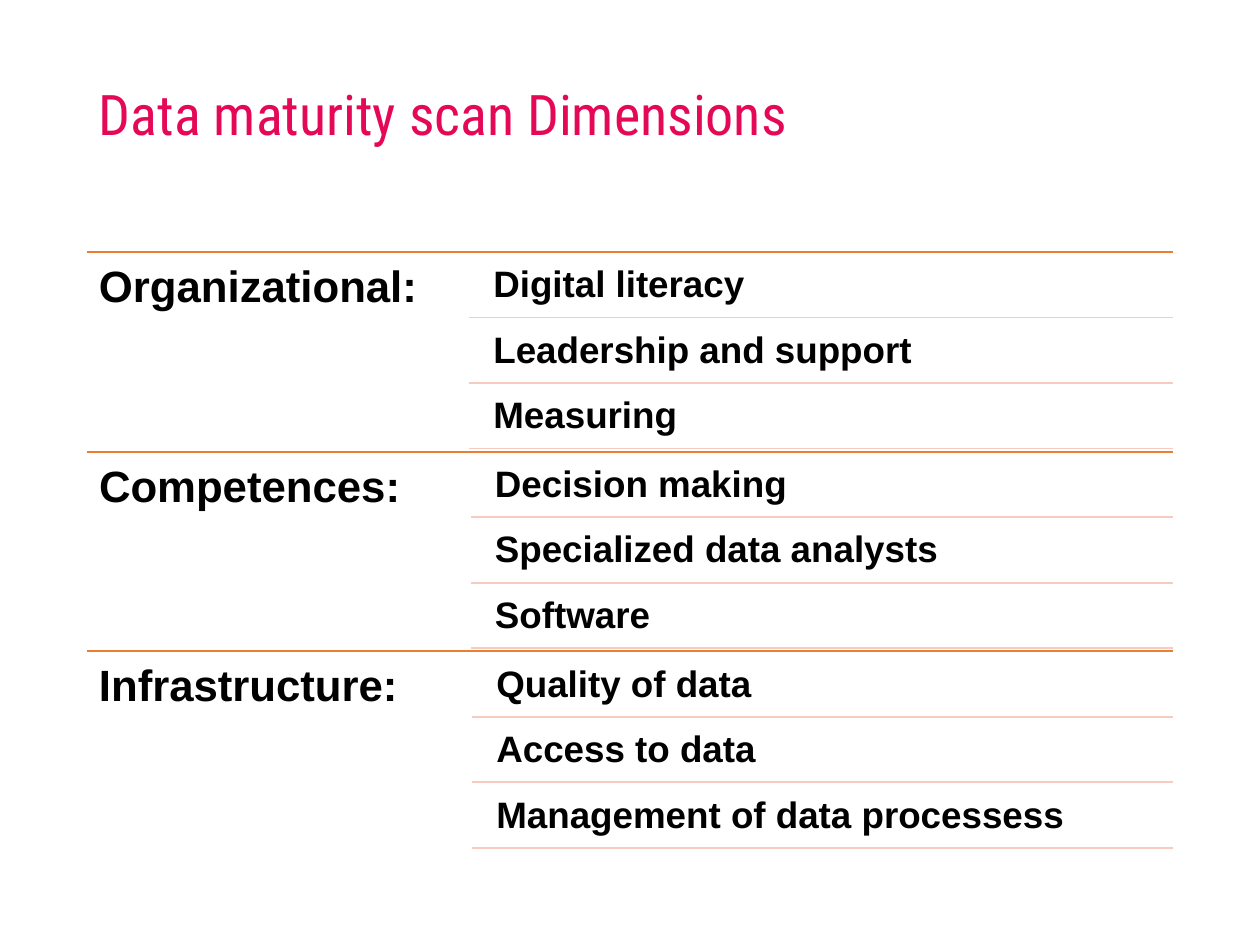
import pptx
import pptx.util
import pptx.dml.color
import pptx.enum.shapes
import pptx.enum.text
import pptx.oxml.ns
import lxml.etree

Pt = pptx.util.Pt
ANCHOR = pptx.enum.text.MSO_ANCHOR

DIMENSIONS = [
    ("Organizational:", 218.6, ["Digital literacy", "Leadership and support", "Measuring"]),
    ("Competences:", 219.5, ["Decision making", "Specialized data analysts", "Software"]),
    ("Infrastructure:", 220.3, ["Quality of data", "Access to data", "Management of data processess"]),
]


def rgb(color):
    return pptx.dml.color.RGBColor.from_string(color)


def add_rule(slide, left, right, y, color):
    rule = slide.shapes.add_connector(
        pptx.enum.shapes.MSO_CONNECTOR.STRAIGHT, Pt(left), Pt(y), Pt(right), Pt(y))
    rule.line.color.rgb = rgb(color)
    rule.line.width = Pt(1)
    lxml.etree.SubElement(rule._element.spPr, pptx.oxml.ns.qn("a:effectLst"))


def add_text(slide, box, text, size, inset, font="Arial", color="000000", bold=True, anchor=ANCHOR.TOP):
    frame = slide.shapes.add_textbox(*map(Pt, box)).text_frame
    frame.word_wrap = True
    frame.vertical_anchor = anchor
    frame.margin_left = frame.margin_right = Pt(inset)
    frame.margin_top = frame.margin_bottom = Pt(inset)
    paragraph = frame.paragraphs[0]
    paragraph.text = text
    paragraph.line_spacing = 0.9
    paragraph.font.name = font
    paragraph.font.size = Pt(size)
    paragraph.font.bold = bold
    paragraph.font.color.rgb = rgb(color)


def add_title(slide, box):
    add_text(slide, box, "Data maturity scan Dimensions", 32, 7.2,
             "Roboto Condensed", "E50856", False, ANCHOR.BOTTOM)


def add_dimension(slide, box, label, label_width, topics):
    left, top, width, height = box
    right = left + width
    topics_left = left + label_width
    text_left = topics_left + 7.5
    gap = 1.7
    topic_height = 35.74

    add_rule(slide, left, right, top, "ED7D31")
    add_text(slide, (left, top, label_width, height), label, 25, 7.2)
    for row, topic in enumerate(topics):
        y = top + gap + row * (topic_height + gap)
        add_text(slide, (text_left, y, right - text_left, topic_height), topic, 21, 6.3)
        add_rule(slide, topics_left, right, y + topic_height, "F6CCBE")


def main():
    presentation = pptx.Presentation()
    presentation.slide_width = Pt(720)
    presentation.slide_height = Pt(540)
    slide = presentation.slides.add_slide(presentation.slide_layouts[6])

    left, width = 49.5, 621
    first_top, height = 144, 114.1
    add_title(slide, (left, 28.8, width, 62.6))
    for index, (label, label_width, topics) in enumerate(DIMENSIONS):
        box = (left, first_top + index * height, width, height)
        add_dimension(slide, box, label, label_width, topics)

    presentation.save("out.pptx")


if __name__ == "__main__":
    main()
